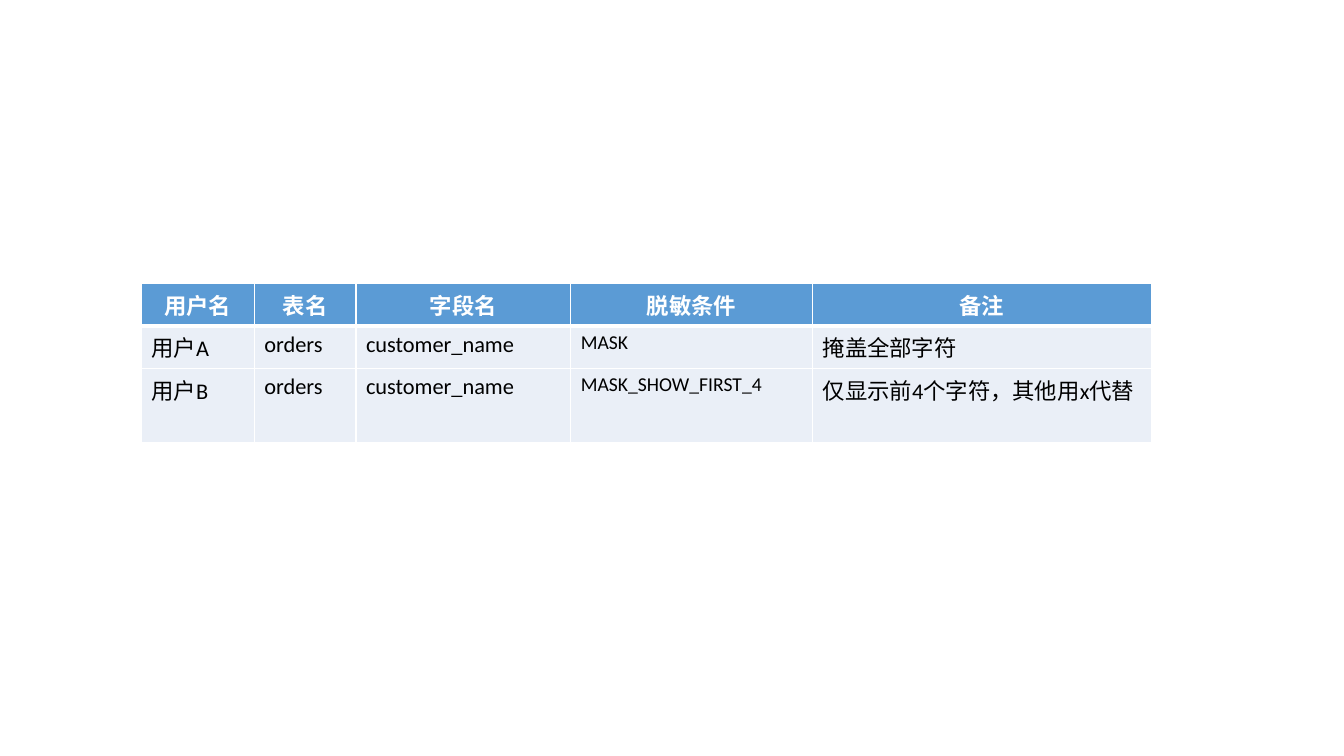
from lxml.etree import SubElement
from pptx import Presentation
from pptx.dml.color import RGBColor
from pptx.enum.text import PP_ALIGN
from pptx.oxml.ns import qn
from pptx.util import Pt

FONT = "Calibri"
WHITE, BLACK, BLUE, PALE = "FFFFFF", "000000", "5B9BD5", "EAEFF7"
COL_WIDTHS = [80.6, 72.7, 153.4, 172.8, 241.9]
ROW_HEIGHT = 28.8
CONDITION_COL = 3
ROWS = [
    ["用户名", "表名", "字段名", "脱敏条件", "备注"],
    ["用户A", "orders", "customer_name", "MASK", "掩盖全部字符"],
    ["用户B", "orders", "customer_name", "MASK_SHOW_FIRST_4",
     "仅显示前4个字符，其他用x代替"],
]


def set_color(target, color):
    target.rgb = RGBColor.from_string(color)


def set_borders(cell, top, bottom):
    tc_pr = cell._tc.get_or_add_tcPr()
    for side, width in (("L", 1), ("R", 1), ("T", top), ("B", bottom)):
        ln = SubElement(tc_pr, qn(f"a:ln{side}"), w=str(Pt(width)))
        fill = SubElement(ln, qn("a:solidFill"))
        SubElement(fill, qn("a:srgbClr"), val=WHITE)


def fill_cell(cell, text, size, header):
    cell.fill.solid()
    set_color(cell.fill.fore_color, BLUE if header else PALE)
    p = cell.text_frame.paragraphs[0]
    p.alignment = PP_ALIGN.CENTER if header else PP_ALIGN.LEFT
    r = p.add_run()
    r.text = text
    r.font.name = FONT
    r.font.size = Pt(size)
    r.font.bold = header
    set_color(r.font.color, WHITE if header else BLACK)


def add_masking_table(s, left, top):
    table = s.shapes.add_table(
        len(ROWS), len(COL_WIDTHS), Pt(left), Pt(top),
        Pt(sum(COL_WIDTHS)), Pt(ROW_HEIGHT * len(ROWS))).table
    for col, width in zip(table.columns, COL_WIDTHS):
        col.width = Pt(width)
    for i, texts in enumerate(ROWS):
        table.rows[i].height = Pt(ROW_HEIGHT)
        header = i == 0
        for j, text in enumerate(texts):
            cell = table.cell(i, j)
            set_borders(cell, 3 if i == 1 else 1, 3 if header else 1)
            size = 14 if j == CONDITION_COL and not header else 16
            fill_cell(cell, text, size, header)


def main():
    prs = Presentation()
    prs.slide_width, prs.slide_height = Pt(960), Pt(540)
    s = prs.slides.add_slide(prs.slide_layouts[6])
    add_masking_table(s, 101, 202.5)
    prs.save("out.pptx")


main()
